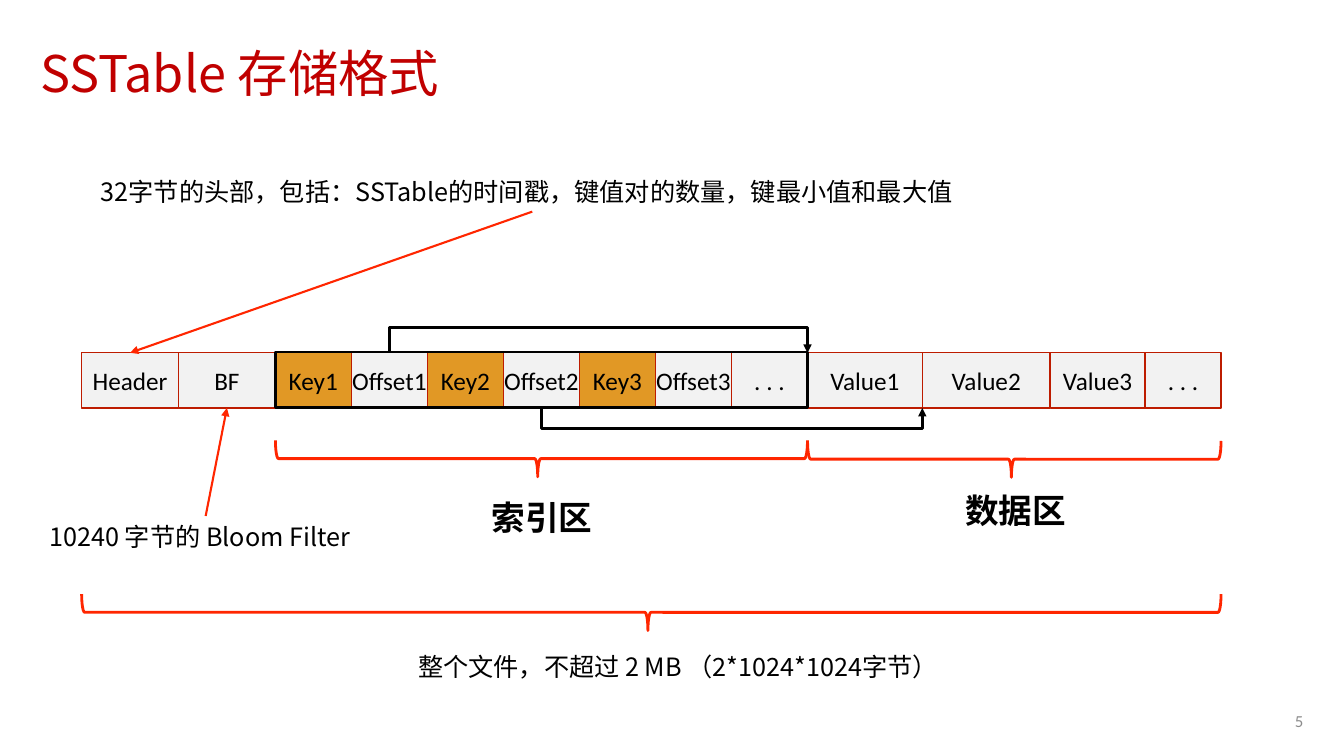
from dataclasses import dataclass
from typing import Any

from lxml.etree import SubElement
from pptx import Presentation
from pptx.dml.color import RGBColor
from pptx.enum.shapes import MSO_CONNECTOR, MSO_SHAPE
from pptx.enum.text import MSO_ANCHOR, PP_ALIGN
from pptx.oxml.ns import qn
from pptx.util import Pt

BLACK = RGBColor(0x00, 0x00, 0x00)
GRAY = RGBColor(0x8C, 0x8C, 0x8C)
TITLE_RED = RGBColor(0xC0, 0x00, 0x00)
BORDER_RED = RGBColor(0xBD, 0x1C, 0x00)
ACCENT_RED = RGBColor(0xFF, 0x26, 0x00)
KEY_ORANGE = RGBColor(0xE1, 0x98, 0x25)
CELL_GRAY = RGBColor(0xF2, 0xF2, 0xF2)
LATIN_FONT = "Calibri"
CHINESE_FONT = "Noto Sans CJK SC"

ROW_LEFT = 58.3
ROW_TOP = 252
ROW_HEIGHT = 39.4
ROW_BOTTOM = ROW_TOP + ROW_HEIGHT
BRACE_DEPTH = 26


@dataclass(frozen=True)
class Cell:
    text: str
    width: float
    fill: RGBColor = CELL_GRAY


@dataclass(frozen=True)
class Label:
    text: str
    left: float
    top: float
    width: float
    height: float
    size: float = 18
    bold: bool = False
    font: str = CHINESE_FONT
    color: RGBColor = BLACK
    align: PP_ALIGN = PP_ALIGN.LEFT
    anchor: MSO_ANCHOR = MSO_ANCHOR.TOP


@dataclass(frozen=True)
class Brace:
    left: float
    right: float
    middle: float
    tip: float


@dataclass(frozen=True)
class Pointer:
    start_x: float
    end_x: float
    row_edge: float
    turn: float


CELLS = [
    Cell("Header", 69.2),
    Cell("BF", 69.2),
    Cell("Key1", 54.3, KEY_ORANGE),
    Cell("Offset1", 54.3),
    Cell("Key2", 54.3, KEY_ORANGE),
    Cell("Offset2", 54.3),
    Cell("Key3", 54.3, KEY_ORANGE),
    Cell("Offset3", 54.3),
    Cell(". . .", 54.3),
    Cell("Value1", 82),
    Cell("Value2", 91.4),
    Cell("Value3", 67.7),
    Cell(". . .", 54.3),
]
EDGES = [ROW_LEFT + sum(cell.width for cell in CELLS[:index]) for index in range(len(CELLS) + 1)]
INDEX_LEFT, DATA_LEFT, VALUE2_LEFT, ROW_RIGHT = EDGES[2], EDGES[9], EDGES[10], EDGES[-1]

LABELS = [
    Label("数据区", 682.5, 346.3, 92, 36, size=24, bold=True),
    Label("索引区", 344.2, 351.4, 92, 36, size=24, bold=True),
    Label("整个文件，不超过 2 MB （2*1024*1024字节）", 291.6, 461.5, 401, 29),
    Label("32字节的头部，包括：SSTable的时间戳，键值对的数量，键最小值和最大值", 64.8, 122.4, 630, 29),
    Label("10240 字节的 Bloom Filter", 28.1, 368.6, 245, 29),
    Label("5", 678.2, 500.4, 260, 28.8, size=12, font=LATIN_FONT, color=GRAY,
          align=PP_ALIGN.RIGHT, anchor=MSO_ANCHOR.MIDDLE),
]
BRACES = [
    Brace(INDEX_LEFT, DATA_LEFT, 327.6, 0.507),
    Brace(DATA_LEFT, ROW_RIGHT, 328, 0.507),
    Brace(ROW_LEFT, ROW_RIGHT, 437.4, 0.503),
]
POINTERS = [
    Pointer((EDGES[3] + EDGES[4]) / 2, DATA_LEFT, ROW_TOP, ROW_TOP - 18),
    Pointer((EDGES[5] + EDGES[6]) / 2, VALUE2_LEFT, ROW_BOTTOM, ROW_BOTTOM + 14.6),
]


def format_runs(text_frame: Any, font: str, size: float, color: RGBColor,
                align: PP_ALIGN, bold: bool = False) -> None:
    for paragraph in text_frame.paragraphs:
        paragraph.alignment = align
        for run in paragraph.runs:
            run.font.size = Pt(size)
            run.font.bold = bold
            run.font.color.rgb = color
            run.font.name = font
            SubElement(run.font._element, qn("a:ea"), typeface=font)


def add_arrowhead(line: Any) -> None:
    SubElement(line._get_or_add_ln(), qn("a:tailEnd"), type="triangle")


def set_line(shape: Any, color: RGBColor, width: float) -> None:
    shape.line.color.rgb = color
    shape.line.width = Pt(width)


def add_cell(slide: Any, cell: Cell, left: float) -> Any:
    shape = slide.shapes.add_shape(
        MSO_SHAPE.RECTANGLE, Pt(left), Pt(ROW_TOP), Pt(cell.width), Pt(ROW_HEIGHT))
    shape.shadow.inherit = False
    shape.fill.solid()
    shape.fill.fore_color.rgb = cell.fill
    set_line(shape, BORDER_RED, 1)
    text_frame = shape.text_frame
    text_frame.text = cell.text
    text_frame.word_wrap = False
    text_frame.vertical_anchor = MSO_ANCHOR.MIDDLE
    format_runs(text_frame, LATIN_FONT, 18, BLACK, PP_ALIGN.CENTER)
    return shape


def add_label(slide: Any, label: Label) -> None:
    text_frame = slide.shapes.add_textbox(
        Pt(label.left), Pt(label.top), Pt(label.width), Pt(label.height)).text_frame
    text_frame.text = label.text
    text_frame.word_wrap = True
    text_frame.vertical_anchor = label.anchor
    format_runs(text_frame, label.font, label.size, label.color, label.align, label.bold)


def add_brace(slide: Any, brace: Brace) -> None:
    length = brace.right - brace.left
    center = (brace.left + brace.right) / 2
    shape = slide.shapes.add_shape(
        MSO_SHAPE.RIGHT_BRACE, Pt(center - BRACE_DEPTH / 2), Pt(brace.middle - length / 2),
        Pt(BRACE_DEPTH), Pt(length))
    shape.rotation = 90
    shape.adjustments[0] = 0.083
    shape.adjustments[1] = brace.tip
    shape.shadow.inherit = False
    shape.fill.background()
    set_line(shape, ACCENT_RED, 2)


def add_pointer(slide: Any, pointer: Pointer) -> None:
    builder = slide.shapes.build_freeform(Pt(pointer.start_x), Pt(pointer.row_edge))
    builder.add_line_segments([
        (Pt(pointer.start_x), Pt(pointer.turn)),
        (Pt(pointer.end_x), Pt(pointer.turn)),
        (Pt(pointer.end_x), Pt(pointer.row_edge)),
    ], close=False)
    shape = builder.convert_to_shape()
    shape.shadow.inherit = False
    shape.fill.background()
    set_line(shape, BLACK, 2)
    add_arrowhead(shape.line)


def add_callout(slide: Any, left: float, top: float, target: Any, side: int) -> None:
    connector = slide.shapes.add_connector(
        MSO_CONNECTOR.STRAIGHT, Pt(left), Pt(top), Pt(left), Pt(top))
    connector.end_connect(target, side)
    set_line(connector, ACCENT_RED, 1.5)
    add_arrowhead(connector.line)
    SubElement(connector._element.spPr, qn("a:effectLst"))


def add_title(slide: Any) -> None:
    title = slide.shapes.title
    title.left, title.top, title.width, title.height = Pt(21.6), Pt(28.8), Pt(916.6), Pt(51.1)
    title.text_frame.text = "SSTable 存储格式"
    title.text_frame.vertical_anchor = MSO_ANCHOR.MIDDLE
    title.text_frame.paragraphs[0].line_spacing = 0.9
    format_runs(title.text_frame, CHINESE_FONT, 36, TITLE_RED, PP_ALIGN.LEFT)


def main() -> None:
    presentation = Presentation()
    presentation.slide_width, presentation.slide_height = Pt(960), Pt(540)
    slide = presentation.slides.add_slide(presentation.slide_layouts[5])
    add_title(slide)
    header, bloom_filter, *_ = [add_cell(slide, cell, left) for cell, left in zip(CELLS, EDGES)]
    index_frame = slide.shapes.add_shape(
        MSO_SHAPE.RECTANGLE, Pt(INDEX_LEFT), Pt(ROW_TOP - 0.5),
        Pt(DATA_LEFT - INDEX_LEFT), Pt(ROW_HEIGHT))
    index_frame.shadow.inherit = False
    index_frame.fill.background()
    set_line(index_frame, BLACK, 2)
    for pointer in POINTERS:
        add_pointer(slide, pointer)
    for brace in BRACES:
        add_brace(slide, brace)
    for label in LABELS:
        add_label(slide, label)
    add_callout(slide, 146.9, 368.6, bloom_filter, 2)
    add_callout(slide, 380.2, 151.2, header, 0)
    presentation.save("out.pptx")


if __name__ == "__main__":
    main()
